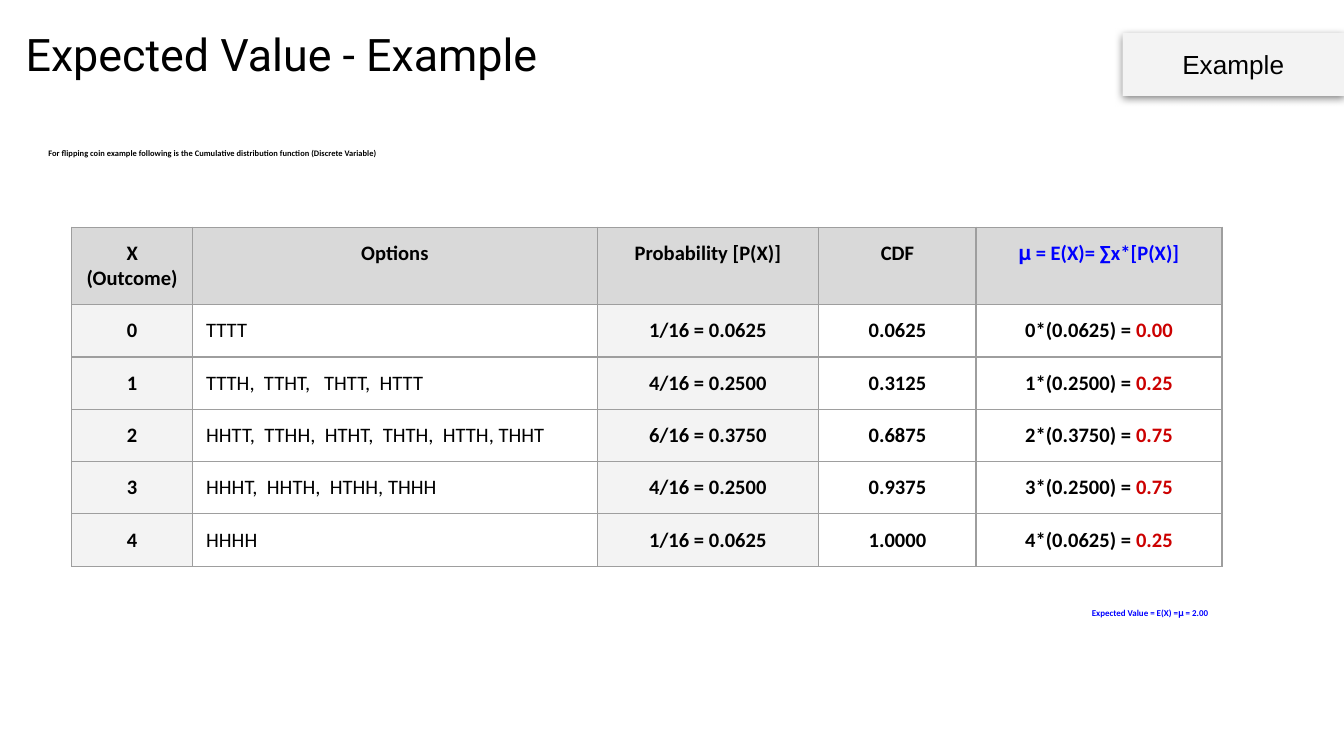
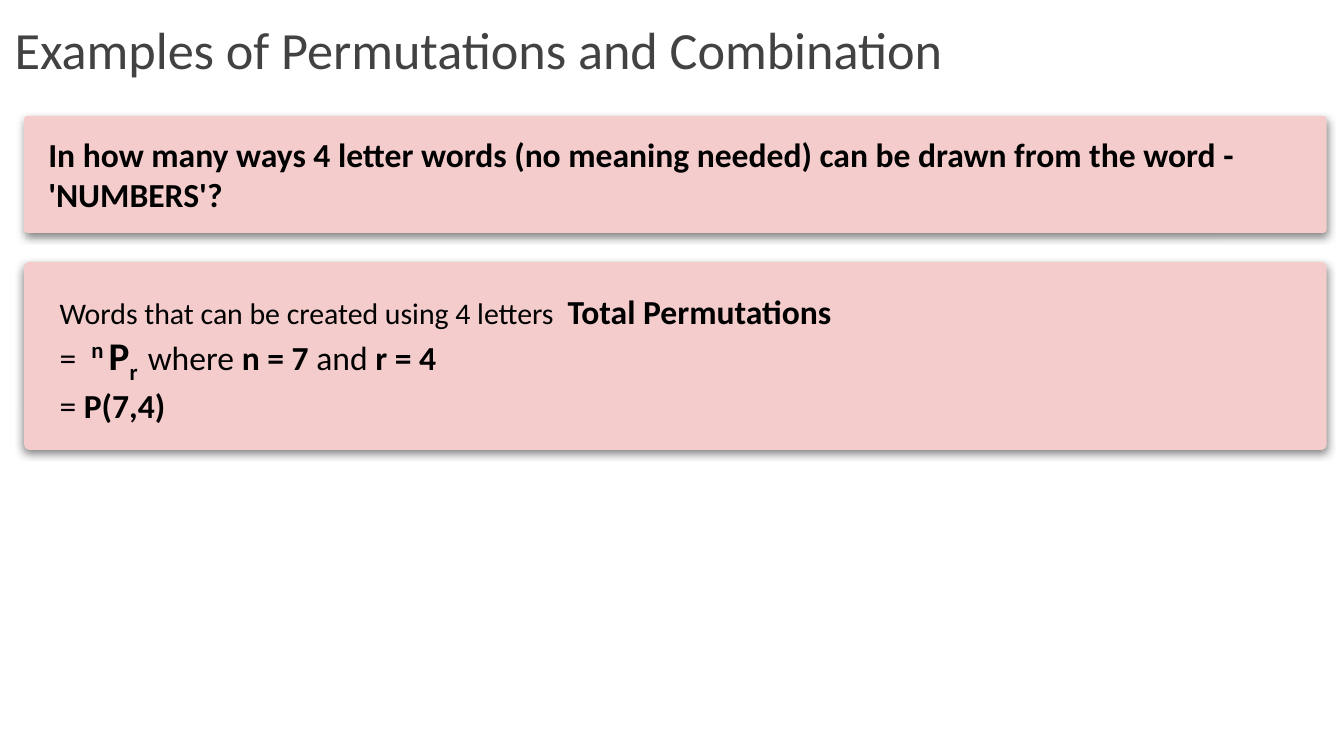
from pptx import Presentation
from pptx.dml.color import RGBColor
from pptx.enum.shapes import MSO_SHAPE as Shape
from pptx.enum.text import MSO_ANCHOR as Anchor, MSO_AUTO_SIZE as Auto, PP_ALIGN as Align
from pptx.oxml import parse_xml
from pptx.oxml.ns import nsdecls, qn
from pptx.util import Pt

# Shared look
BLACK, WHITE, BLUE, RED = "000000", "FFFFFF", "0000FF", "CC0000"
GREY, PALE, HEAD, EDGE, PINK = "424242", "F3F3F3", "D9D9D9", "9E9E9E", "F4CCCC"
FACE = "Calibri"
PAD = 7.2

# Slide 1 content
TITLE1 = "Expected Value - Example"
INTRO = ("For flipping coin example following is the Cumulative "
         "distribution function (Discrete Variable)")
RESULT = "Expected Value = E(X) =𝛍 = 2.00"
TAG = "Example"
HEADS = ["X (Outcome)", "Options", "Probability [P(X)]", "CDF",
         [("𝛍", {"bold": False}), (" = E(X)= ∑x*[P(X)]", {})]]
ROWS = [  # options, probability, CDF, product, value
    ("TTTT", "1/16 = 0.0625", "0.0625", "0*(0.0625) = ", "0.00"),
    ("TTTH,  TTHT,   THTT,  HTTT", "4/16 = 0.2500", "0.3125", "1*(0.2500) = ", "0.25"),
    ("HHTT,  TTHH,  HTHT,  THTH,  HTTH, THHT", "6/16 = 0.3750", "0.6875",
     "2*(0.3750) = ", "0.75"),
    ("HHHT,  HHTH,  HTHH, THHH", "4/16 = 0.2500", "0.9375", "3*(0.2500) = ", "0.75"),
    ("HHHH", "1/16 = 0.0625", "1.0000", "4*(0.0625) = ", "0.25"),
]
WIDTHS = [64.8, 216.7, 118.8, 84.2, 131.8]
HEAD_H, ROW_H = 41.4, 27.8

# Slide 2 content
TITLE2 = "Examples of Permutations and Combination"
ASK = ("In how many ways 4 letter words (no meaning needed) can be drawn "
       "from the word - 'NUMBERS'?")
BOLD = {"bold": True}
BIG = {"bold": True, "size": 21}
STEPS = [  # size of the line, runs
    (18, [("Words that can be created using 4 letters  ", {"size": 16}),
          ("Total Permutations", BOLD)]),
    (18, [("=  ", {}), ("n ", {**BIG, "base": 30}), ("P", BIG),
          ("r  ", {**BIG, "base": -25}), ("where ", {}), ("n = 7 ", BOLD),
          ("and ", {}), ("r = 4", BOLD)]),
    (18, [("=", {}), (" P(7,4)", BOLD)]),
]
PANELS = [(62.1, 62.7), (140.3, 100.8)]  # top, height


def rgb(code):
    return RGBColor.from_string(code)


def paint(fill, code):
    fill.solid()
    fill.fore_color.rgb = rgb(code)


def style(font, size=None, bold=None, color=None, face=None):
    if size:
        font.size = Pt(size)
    if bold is not None:
        font.bold = bold
    if color:
        font.color.rgb = rgb(color)
    if face:
        font.name = face


def write(para, text, size, bold=False, color=BLACK, face=FACE, align=Align.LEFT,
          line=None, after=0):
    """Fill a paragraph with a string or a list of (text, changes) runs."""
    para.alignment = align
    para.space_before, para.space_after = Pt(0), Pt(after)
    if line:
        para.line_spacing = line
    style(para.font, size, bold, color, face)
    for part, change in [(text, {})] if isinstance(text, str) else text:
        run = para.add_run()
        run.text = part
        change = dict(change)
        base = change.pop("base", 0)
        style(run.font, **change)
        if base:
            run._r.get_or_add_rPr().set("baseline", str(base * 1000))


def frame(shape, anchor=Anchor.TOP):
    tf = shape.text_frame
    tf.word_wrap, tf.auto_size, tf.vertical_anchor = True, Auto.NONE, anchor
    tf.margin_left = tf.margin_right = tf.margin_top = tf.margin_bottom = Pt(PAD)
    return tf


def holder(shape, box, text, size, anchor=Anchor.TOP, fill=WHITE, **look):
    """Move and fill a placeholder, without its bullet."""
    shape.left, shape.top, shape.width, shape.height = map(Pt, box)
    if fill:
        paint(shape.fill, fill)
    para = frame(shape, anchor).paragraphs[0]
    props = para._p.get_or_add_pPr()
    props.set("marL", "0")
    props.set("indent", "0")
    props.append(parse_xml(f"<a:buNone {nsdecls('a')}/>"))
    write(para, text, size, **look)


def label(slide, box, lines):
    """Add a text box from (size, text) lines."""
    tf = frame(slide.shapes.add_textbox(*map(Pt, box)))
    for i, (size, text) in enumerate(lines):
        para = tf.add_paragraph() if i else tf.paragraphs[0]
        write(para, text, size, bold=isinstance(text, str))


def panel(slide, kind, box, fill):
    """Add a borderless shape with a soft shadow below."""
    shape = slide.shapes.add_shape(kind, *map(Pt, box))
    paint(shape.fill, fill)
    shape.line.fill.background()
    shape.shadow.inherit = False
    shape._element.spPr.find(qn("a:effectLst")).append(parse_xml(
        f'<a:outerShdw {nsdecls("a")} blurRad="{Pt(4.5)}" dist="{Pt(1.5)}" dir="5400000"'
        f' algn="bl" rotWithShape="0"><a:srgbClr val="{BLACK}"><a:alpha val="50000"/>'
        '</a:srgbClr></a:outerShdw>'))
    return shape


def fill_cell(cell, text, fill=None, **look):
    cell.margin_left = cell.margin_right = cell.margin_top = cell.margin_bottom = Pt(PAD)
    props = cell._tc.get_or_add_tcPr()
    for side in ("lnL", "lnR", "lnT", "lnB"):
        props.append(parse_xml(
            f'<a:{side} {nsdecls("a")} w="{Pt(0.75)}"><a:solidFill>'
            f'<a:srgbClr val="{EDGE}"/></a:solidFill></a:{side}>'))
    if fill:
        paint(cell.fill, fill)
    else:
        cell.fill.background()
    write(cell.text_frame.paragraphs[0], text, 11, **look)


def add_grid(slide):
    count = len(ROWS) + 1
    grid = slide.shapes.add_table(count, len(WIDTHS), Pt(38.4), Pt(121.7),
                                  Pt(sum(WIDTHS)), Pt(HEAD_H + ROW_H * len(ROWS))).table
    grid.first_row = grid.horz_banding = False
    for col, width in zip(grid.columns, WIDTHS):
        col.width = Pt(width)
    for i, row in enumerate(grid.rows):
        row.height = Pt(ROW_H if i else HEAD_H)
    # Header row
    for c, text in enumerate(HEADS):
        fill_cell(grid.cell(0, c), text, HEAD, bold=True, align=Align.CENTER,
                  color=BLUE if c == len(HEADS) - 1 else BLACK)
    # One row per outcome
    for r, (opts, prob, cdf, prod, value) in enumerate(ROWS):
        texts = [str(r), opts, prob, cdf, [(prod, {}), (value, {"color": RED})]]
        for c, text in enumerate(texts):
            fill_cell(grid.cell(r + 1, c), text, PALE if c in (0, 2) else None,
                      bold=c != 1, align=Align.LEFT if c == 1 else Align.CENTER)


def add_slide(deck, layout):
    slide = deck.slides.add_slide(deck.slide_layouts[layout])
    paint(slide.background.fill, WHITE)
    return slide


def value_slide(deck):
    slide = add_slide(deck, 3)
    title, intro, result = slide.placeholders
    holder(title, (6.5, 5, 370, 45.4), TITLE1, 24, Anchor.BOTTOM, face="Roboto")
    holder(intro, (18.7, 72.7, 621.4, 33.1), INTRO, 4.5, bold=True, line=0.95, after=12)
    holder(result, (438.6, 318.7, 216, 33.1), RESULT, 4.8, fill=None, bold=True,
           color=BLUE, align=Align.RIGHT, line=0.95, after=12)
    add_grid(slide)
    # Corner tag
    tag = panel(slide, Shape.RECTANGLE, (601.4, 17.6, 118.6, 33.8), PALE)
    write(frame(tag, Anchor.MIDDLE).paragraphs[0], TAG, 14, face="Arial",
          align=Align.CENTER)


def words_slide(deck):
    slide = add_slide(deck, 5)
    holder(slide.shapes.title, (0.6, 4.7, 671, 45.4), TITLE2, 28, Anchor.BOTTOM,
           color=GREY, line=1.15, after=16)
    for top, high in PANELS:
        card = panel(slide, Shape.ROUNDED_RECTANGLE, (12.9, top, 697.8, high), PINK)
        card.adjustments[0] = 0.03
    label(slide, (24.8, 148.6, 671, 92.2), STEPS)
    label(slide, (18.8, 64.4, 682.6, 42.5), [(18, ASK)])


def main():
    deck = Presentation()
    deck.slide_width, deck.slide_height = Pt(720), Pt(405)
    value_slide(deck)
    words_slide(deck)
    deck.save("out.pptx")


if __name__ == "__main__":
    main()
